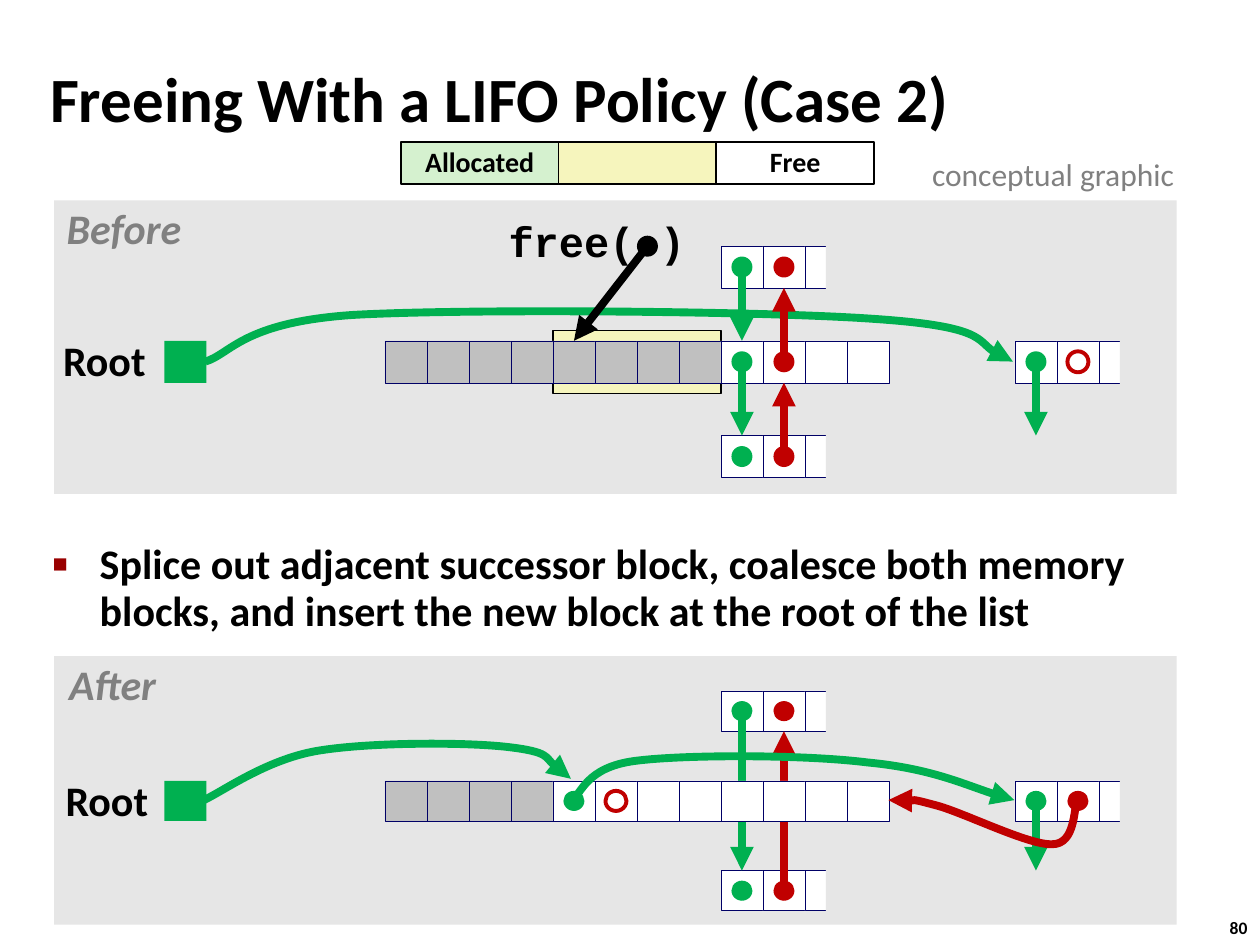
"""Build the slide on freeing a block under a LIFO policy, before and after."""
from lxml.etree import SubElement
from pptx import Presentation
from pptx.dml.color import RGBColor
from pptx.enum.shapes import MSO_CONNECTOR as CONN, MSO_SHAPE as SHAPE
from pptx.enum.text import MSO_ANCHOR as ANCHOR, MSO_AUTO_SIZE as AUTO, PP_ALIGN as ALIGN
from pptx.oxml.ns import qn
from pptx.util import Cm, Pt

C = {"panel": "E6E6E6", "wanted": "F6F5BD", "allocated": "D5F1CF", "used": "C0C0C0",
     "white": "FFFFFF", "black": "000000", "grey": "808080", "edge": "000066",
     "next": "00B050", "prev": "C00000", "bullet": "990000"}
CELL = 2.54 / 3
LEFT = 7.76
ROOT = -5.25
FAR = 15
FIRST_CURVE = [(4.14, 7.29), (4.65, 7.14), (4.88, 6.5), (7.11, 6.35), (9.37, 6.22),
               (15.39, 6.27), (17.63, 6.43), (19.84, 6.58), (19.84, 7.11), (20.42, 7.29)]
ROOT_CURVE = [(4.11, 16.13), (4.5, 15.95), (5.36, 15.32), (6.38, 15.14), (7.42, 14.96),
              (9.4, 14.96), (10.24, 15.06), (11.1, 15.16), (11.25, 15.57), (11.51, 15.7)]
NEXT_CURVE = [(11.53, 16.13), (11.73, 16), (11.81, 15.47), (12.8, 15.34), (13.79, 15.21),
              (16.21, 15.21), (17.48, 15.37), (18.75, 15.49), (19.84, 15.98), (20.45, 16.13)]
PREV_CURVE = [(21.72, 16.13), (21.64, 16.28), (21.69, 17.02), (21.21, 17.02), (20.73, 17.04),
              (19.38, 16.36), (18.85, 16.23), (18.29, 16.08), (18.11, 16.15), (17.91, 16.13)]


def rgb(name):
    """Look up a colour by name."""
    return RGBColor.from_string(C[name])


def col_x(col):
    """Give the left edge of a memory column in centimetres."""
    return LEFT + col * CELL


def write(sp, text, size=24, color="black", font="Calibri", bold=True, italic=False,
          align=ALIGN.CENTER, spacing=0.9, anchor=ANCHOR.TOP, inset=(0.13, 0.13), wrap=False):
    """Put one formatted paragraph into a shape and return the paragraph."""
    tf = sp.text_frame
    tf.auto_size, tf.word_wrap, tf.vertical_anchor = AUTO.NONE, wrap, anchor
    tf.margin_left = tf.margin_right = Cm(inset[0])
    tf.margin_top = tf.margin_bottom = Cm(inset[1])
    p = tf.paragraphs[0]
    p.alignment, p.line_spacing, p.space_before = align, spacing, Pt(0)
    r = p.add_run()
    r.text = text
    f = r.font
    f.name, f.size, f.bold, f.italic = font, Pt(size), bold, italic
    f.color.rgb = rgb(color)
    return p


def add_text(s, box, text, **fmt):
    """Add a text box at left, top, width, height."""
    write(s.shapes.add_textbox(*map(Cm, box)), text, **fmt)


def place(sp, box):
    """Move and size a placeholder."""
    sp.left, sp.top, sp.width, sp.height = map(Cm, box)


def add_shape(s, box, fill=None, line=None, width=0.25, kind=SHAPE.RECTANGLE):
    """Add a preset shape with an optional fill and outline."""
    sp = s.shapes.add_shape(kind, *map(Cm, box))
    sp.shadow.inherit = False
    if fill:
        sp.fill.solid()
        sp.fill.fore_color.rgb = rgb(fill)
    else:
        sp.fill.background()
    if line:
        sp.line.color.rgb = rgb(line)
        sp.line.width = Pt(width)
    else:
        sp.line.fill.background()
    return sp


def add_cells(s, first, y, h, fills):
    """Add a run of memory cells, one for each fill."""
    return [add_shape(s, (col_x(first + i), y, CELL, h), fill, "edge")
            for i, fill in enumerate(fills)]


def add_cut_block(s, first, y, h):
    """Add a block of three cells whose last one is cut off by the panel."""
    cells = add_cells(s, first, y, h, ["white"] * 3)
    add_shape(s, (col_x(first + 2.5), y - h / 4, CELL, h * 1.5), "panel")
    return cells


def add_dot(s, col, y, h, color, hollow=False):
    """Add a pointer dot in the middle of a cell."""
    box = (col_x(col + 0.25), y + h / 4, CELL / 2, h / 2)
    if hollow:
        add_shape(s, box, None, color, 2.25, SHAPE.OVAL)
    else:
        add_shape(s, box, color, kind=SHAPE.OVAL)


def style_arrow(sp, color):
    """Give a line its colour, weight and arrowhead."""
    sp.line.color.rgb = rgb(color)
    sp.line.width = Pt(4.5)
    SubElement(sp.line._get_or_add_ln(), qn("a:tailEnd"), type="triangle")


def add_arrow(s, col, y, h, color, target=None, side=0, end=None):
    """Add an arrow from a cell's middle to a cell's side or a free point."""
    x, mid = col_x(col + 0.5), y + h / 2
    end = end or (x, mid)
    sp = s.shapes.add_connector(CONN.STRAIGHT, Cm(x), Cm(mid), *map(Cm, end))
    if target:
        sp.end_connect(target, side)
    style_arrow(sp, color)
    SubElement(sp.element.spPr, qn("a:effectLst"))


def add_curve(s, points, color):
    """Add a Bézier arrow, with three points for each segment after the start."""
    pts = [(Cm(x), Cm(y)) for x, y in points]
    fb = s.shapes.build_freeform(*pts[0])
    fb.add_line_segments(pts[1:], close=False)
    sp = fb.convert_to_shape()
    sp.shadow.inherit = False
    sp.fill.background()
    outline = next(sp.element.iter(qn("a:path")))
    steps = outline.findall(qn("a:lnTo"))
    for i in range(0, len(steps), 3):
        bezier = SubElement(outline, qn("a:cubicBezTo"))
        for step in steps[i:i + 3]:
            bezier.append(step[0])
            outline.remove(step)
    style_arrow(sp, color)


def add_headings(s):
    """Fill the title and body placeholders."""
    title, body = s.shapes.title, s.placeholders[1]
    place(title, (0.76, 0.99, 24.21, 2.18))
    write(title, "Freeing With a LIFO Policy (Case 2)", size=36, align=ALIGN.LEFT,
          spacing=0.87, anchor=ANCHOR.MIDDLE, inset=(0.25, 0.13), wrap=True)
    place(body, (0.81, 10.77, 23.09, 2.18))
    p = write(body, "Splice out adjacent successor block, coalesce both memory blocks, "
              "and insert the new block at the root of the list", align=ALIGN.LEFT,
              spacing=0.95, inset=(0.25, 0.13), wrap=True)
    pPr = p._p.get_or_add_pPr()
    pPr.set("marL", str(Cm(0.95)))
    pPr.set("indent", str(Cm(-0.95)))
    SubElement(SubElement(pPr, qn("a:buClr")), qn("a:srgbClr"), val=C["bullet"])
    SubElement(pPr, qn("a:buSzPct"), val="60000")
    SubElement(pPr, qn("a:buChar"), char="■")


def add_legend(s):
    """Add the colour key and the note beside it."""
    for i, text, fill in ((1, "", "wanted"), (0, "Allocated", "allocated"), (2, "Free", "white")):
        sp = add_shape(s, (8.08 + 3.18 * i, 2.86, 3.18, 0.85), fill, "black", 1)
        if text:
            write(sp, text, size=16, spacing=0.98, anchor=ANCHOR.MIDDLE, inset=(0.25, 0.13))
    add_text(s, (18.54, 3, 5.51, 1.02), "conceptual graphic", size=18, color="grey",
             bold=False, align=ALIGN.LEFT, spacing=1, inset=(0.25, 0.13))


def add_before(s):
    """Draw the list before the block is freed."""
    h, (top, mid, low) = CELL, (4.96, 6.87, 8.78)
    add_shape(s, (1.09, 4.04, 22.63, 5.92), "panel")
    add_shape(s, (col_x(4), mid - h / 4, 4 * CELL, 1.5 * h), "wanted", "black", 0.75)
    add_curve(s, FIRST_CURVE, "next")
    row = add_cells(s, 0, mid, h, ["used"] * 8 + ["white"] * 4)
    above, below = (add_cut_block(s, 8, y, h) for y in (top, low))
    add_cells(s, ROOT, mid, h, ["next"])[0].line.fill.background()
    add_cut_block(s, FAR, mid, h)
    for y in (top, mid, low):
        add_dot(s, 8, y, h, "next")
        add_dot(s, 9, y, h, "prev")
    add_arrow(s, 8, top, h, "next", row[8])
    add_arrow(s, 8, mid, h, "next", below[0])
    add_arrow(s, 9, mid, h, "prev", above[1], 2)
    add_arrow(s, 9, low, h, "prev", row[9], 2)
    add_dot(s, FAR, mid, h, "next")
    add_arrow(s, FAR, mid, h, "next", end=(col_x(FAR + 0.5), low))
    add_dot(s, FAR + 1, mid, h, "prev", hollow=True)
    add_text(s, (10.11, 4.32, 3.84, 1.19), "free( )", font="Courier New")
    add_dot(s, 5.75, 4.54, h, "black")
    add_arrow(s, 5.75, 4.54, h, "black", row[4])
    add_text(s, (1.14, 6.73, 1.93, 1.19), "Root")
    add_text(s, (1.19, 4.06, 2.62, 1.19), "Before", color="grey", italic=True)


def add_after(s):
    """Draw the list after the blocks are joined."""
    h, (top, mid, low) = 0.81, (13.93, 15.74, 17.55)
    add_shape(s, (1.09, 13.23, 22.63, 5.41), "panel")
    above, below = (add_cut_block(s, 8, y, h) for y in (top, low))
    add_arrow(s, 9, low, h, "prev", above[1], 2)
    add_arrow(s, 8, top, h, "next", below[0])
    for y in (top, low):
        add_dot(s, 8, y, h, "next")
        add_dot(s, 9, y, h, "prev")
    add_cells(s, 0, mid, h, ["used"] * 4 + ["white"] * 8)
    add_cells(s, ROOT, mid, h, ["next"])[0].line.fill.background()
    add_cut_block(s, FAR, mid, h)
    add_dot(s, 4, mid, h, "next")
    add_dot(s, 5, mid, h, "prev", hollow=True)
    add_dot(s, FAR, mid, h, "next")
    add_arrow(s, FAR, mid, h, "next", end=(col_x(FAR + 0.5), low))
    add_dot(s, FAR + 1, mid, h, "prev")
    for points, color in ((NEXT_CURVE, "next"), (PREV_CURVE, "prev"), (ROOT_CURVE, "next")):
        add_curve(s, points, color)
    add_text(s, (1.19, 15.6, 1.93, 1.12), "Root")
    add_text(s, (1.24, 13.26, 2.06, 1.12), "After", color="grey", italic=True)


def main():
    """Build and save the slide."""
    prs = Presentation()
    prs.slide_width, prs.slide_height = Cm(25.4), Cm(19.05)
    s = prs.slides.add_slide(prs.slide_layouts[1])
    add_headings(s)
    add_before(s)
    add_after(s)
    add_legend(s)
    add_text(s, (24.54, 18.36, 0.94, 0.69), "80", size=10, align=ALIGN.LEFT,
             spacing=1, inset=(0.25, 0.13))
    prs.save("out.pptx")


if __name__ == "__main__":
    main()
